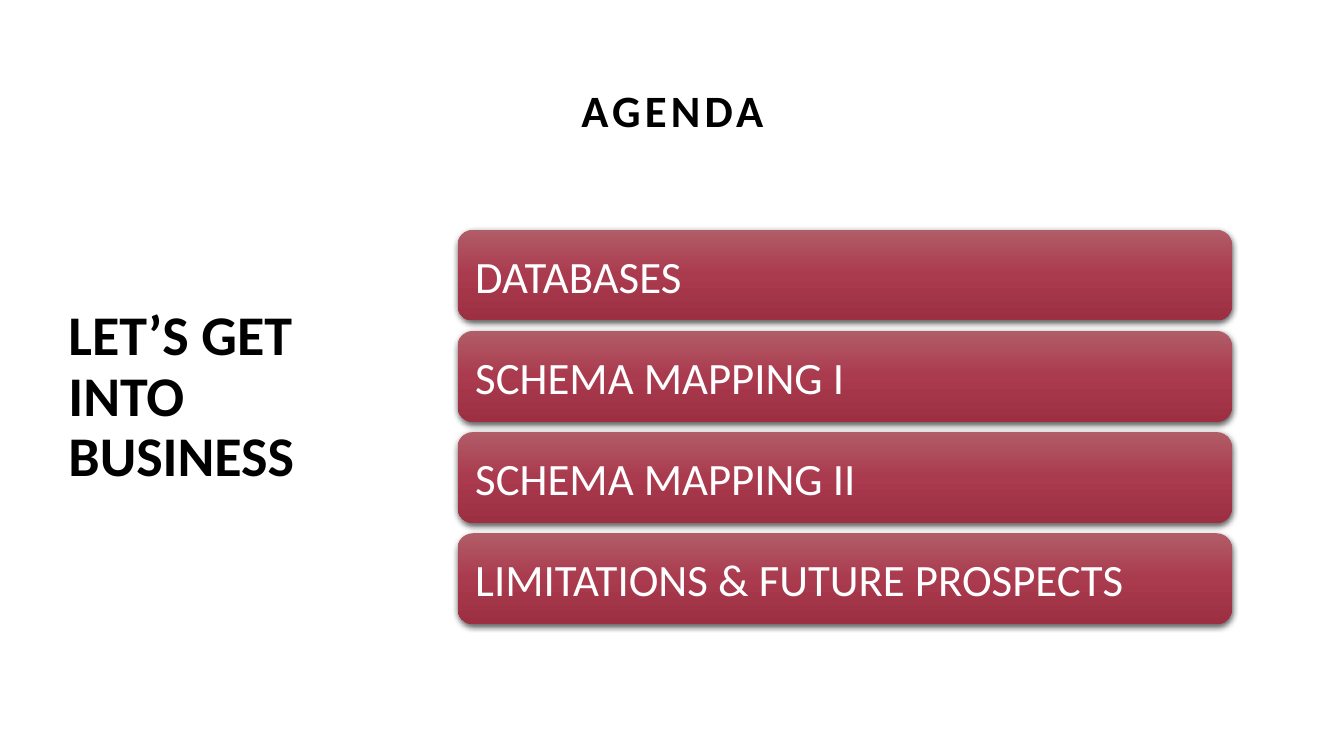
import pptx
import pptx.dml.color
import pptx.enum.shapes
import pptx.enum.text
import pptx.oxml
import pptx.oxml.ns
import pptx.util

ANCHOR = pptx.enum.text.MSO_ANCHOR
ALIGN = pptx.enum.text.PP_ALIGN


def color(value):
    """Turn a hex string into a colour."""
    return pptx.dml.color.RGBColor.from_string(value)


class AgendaDeck:
    """Hold the style and the current slide; boxes are percent shares of its size."""

    font = "Calibri"
    ink = "000000"
    bar_ink = "FFFFFF"
    bar_stops = ((0, "B15D68"), (50, "AA3A4E"), (100, "9C2F42"))

    def __init__(self):
        """Open a wide presentation with one title-only slide."""
        self.deck = pptx.Presentation()
        self.deck.slide_width = pptx.util.Inches(13.33)
        self.deck.slide_height = pptx.util.Inches(7.5)
        self.slide = self.deck.slides.add_slide(self.deck.slide_layouts[5])

    def box(self, left, top, width, height):
        """Convert percent shares of the slide to lengths."""
        sides = (self.deck.slide_width, self.deck.slide_height) * 2
        return [round(side * share / 100)
                for side, share in zip(sides, (left, top, width, height))]

    def add_words(self, owner, words, size, ink, bold=False, anchor=ANCHOR.MIDDLE,
                  align=ALIGN.LEFT, spacing=1.0):
        """Put one run into a shape and return it."""
        frame = owner.text_frame
        frame.word_wrap = True
        frame.auto_size = pptx.enum.text.MSO_AUTO_SIZE.NONE
        frame.vertical_anchor = anchor
        paragraph = frame.paragraphs[0]
        paragraph.alignment = align
        paragraph.line_spacing = spacing
        run = paragraph.add_run()
        run.text = words
        run.font.name = self.font
        run.font.size = pptx.util.Pt(size)
        run.font.bold = bold
        run.font.color.rgb = color(ink)
        return run

    def title(self, words, *shares):
        """Move the title placeholder and fill it with spaced letters."""
        heading = self.slide.shapes.title
        heading.left, heading.top, heading.width, heading.height = self.box(*shares)
        run = self.add_words(heading, words, 32, self.ink, bold=True,
                             align=ALIGN.CENTER, spacing=0.9)
        run.font._element.set("spc", "300")

    def caption(self, words, *shares):
        """Add a bold text box."""
        caption = self.slide.shapes.add_textbox(*self.box(*shares))
        self.add_words(caption, words, 40, self.ink, bold=True,
                       anchor=ANCHOR.TOP, spacing=0.9)

    def bar(self, words, *shares):
        """Add a rounded bar with a vertical gradient and a soft shadow."""
        bar = self.slide.shapes.add_shape(
            pptx.enum.shapes.MSO_SHAPE.ROUNDED_RECTANGLE, *self.box(*shares))
        bar.line.fill.background()
        bar.shadow.inherit = False
        namespace = pptx.oxml.ns.nsdecls("a")
        stops = "".join(
            f'<a:gs pos="{position * 1000}"><a:srgbClr val="{shade}"/></a:gs>'
            for position, shade in self.bar_stops)
        gradient = pptx.oxml.parse_xml(
            f'<a:gradFill {namespace} rotWithShape="1"><a:gsLst>{stops}</a:gsLst>'
            '<a:lin ang="5400000" scaled="0"/></a:gradFill>')
        shadow = pptx.oxml.parse_xml(
            f'<a:outerShdw {namespace} blurRad="57150" dist="19050" dir="5400000" '
            'algn="ctr" rotWithShape="0"><a:srgbClr val="000000">'
            '<a:alpha val="63000"/></a:srgbClr></a:outerShdw>')
        properties = bar._element.spPr
        properties.find(pptx.oxml.ns.qn("a:ln")).addprevious(gradient)
        properties.find(pptx.oxml.ns.qn("a:effectLst")).append(shadow)
        frame = bar.text_frame
        frame.margin_left = frame.margin_right = pptx.util.Inches(0.13)
        frame.margin_top = frame.margin_bottom = pptx.util.Inches(0.13)
        self.add_words(bar, words, 32, self.bar_ink)


def main():
    """Build the agenda slide."""
    agenda = AgendaDeck()
    agenda.title("AGENDA", 6.9, 5.33, 86.27, 19.33)
    agenda.caption("LET’S GET INTO BUSINESS", 4.35, 40, 22.36, 43.33)
    topics = ("DATABASES", "SCHEMA MAPPING I", "SCHEMA MAPPING II",
              "LIMITATIONS & FUTURE PROSPECTS")
    first_top, pitch = 30.4, 13.38
    for row, topic in enumerate(topics):
        agenda.bar(topic, 34.06, first_top + row * pitch, 57.6, 12)
    agenda.deck.save("out.pptx")


if __name__ == "__main__":
    main()
